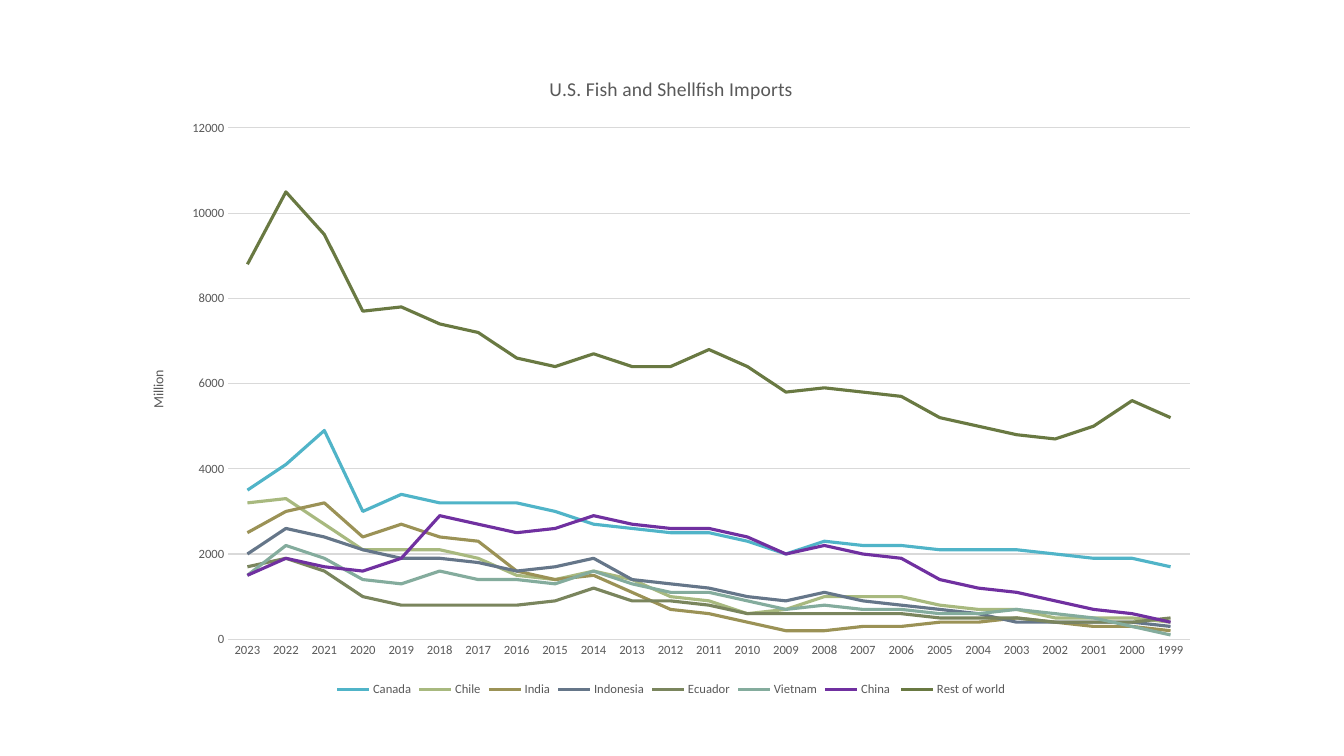
from lxml import etree
from pptx import Presentation
from pptx import util as u
from pptx.chart import data as chart_data
from pptx.dml.color import RGBColor
from pptx.enum import chart as ec
from pptx.oxml.ns import qn

TITLE = "U.S. Fish and Shellfish Imports"
VALUE_TITLE = "Million"
YEARS = [str(year) for year in range(2023, 1998, -1)]
HUNDREDS = 100
IMPORTS = [
    ("Canada", "50B4C8", [35, 41, 49, 30, 34, 32, 32, 32, 30, 27, 26, 25, 25,
                          23, 20, 23, 22, 22, 21, 21, 21, 20, 19, 19, 17]),
    ("Chile", "A8B97F", [32, 33, 27, 21, 21, 21, 19, 15, 14, 16, 14, 10, 9,
                         6, 7, 10, 10, 10, 8, 7, 7, 5, 5, 5, 4]),
    ("India", "9B9256", [25, 30, 32, 24, 27, 24, 23, 16, 14, 15, 11, 7, 6,
                         4, 2, 2, 3, 3, 4, 4, 5, 4, 3, 3, 2]),
    ("Indonesia", "657689", [20, 26, 24, 21, 19, 19, 18, 16, 17, 19, 14, 13, 12,
                             10, 9, 11, 9, 8, 7, 6, 4, 4, 4, 4, 3]),
    ("Ecuador", "7A855D", [17, 19, 16, 10, 8, 8, 8, 8, 9, 12, 9, 9, 8,
                           6, 6, 6, 6, 6, 5, 5, 5, 4, 4, 4, 5]),
    ("Vietnam", "84AC9D", [15, 22, 19, 14, 13, 16, 14, 14, 13, 16, 13, 11, 11,
                           9, 7, 8, 7, 7, 6, 6, 7, 6, 5, 3, 1]),
    ("China ", "7030A0", [15, 19, 17, 16, 19, 29, 27, 25, 26, 29, 27, 26, 26,
                          24, 20, 22, 20, 19, 14, 12, 11, 9, 7, 6, 4]),
    ("Rest of world", "697942", [88, 105, 95, 77, 78, 74, 72, 66, 64, 67, 64, 64, 68,
                                 64, 58, 59, 58, 57, 52, 50, 48, 47, 50, 56, 52]),
]
GREY, GRID = "595959", "D9D9D9"
CHART_BOX = (3.3, 1.35, 27.23, 16.31)
PLOT_LAYOUT = {"layoutTarget": "inner", "xMode": "edge", "yMode": "edge",
               "x": 0.09, "y": 0.115, "w": 0.89, "h": 0.79}
AXIS_FORMAT = {"major_tick_mark": ec.XL_TICK_MARK.NONE,
               "minor_tick_mark": ec.XL_TICK_MARK.NONE}
VALUE_FORMAT = {"minimum_scale": 0, "maximum_scale": 12000, "major_unit": 2000,
                "has_major_gridlines": True, "has_title": True}
LEGEND_FORMAT = {"position": ec.XL_LEGEND_POSITION.BOTTOM, "include_in_layout": False}


def apply(target, values):
    for name, value in values.items():
        setattr(target, name, value)


def color(hex_string):
    return RGBColor.from_string(hex_string)


def set_font(font, size):
    apply(font, {"name": "Calibri", "size": u.Pt(size), "bold": False})
    font.color.rgb = color(GREY)


def set_line(line, hex_string, width):
    line.color.rgb = color(hex_string)
    line.width = u.Pt(width)


def set_title(owner, text, size):
    frame = owner.text_frame
    frame.text = text
    set_font(frame.paragraphs[0].runs[0].font, size)


def place_plot(chart):
    plot_area = chart.element.find(".//" + qn("c:plotArea"))
    layout = plot_area.find(qn("c:layout"))
    if layout is None:
        layout = etree.Element(qn("c:layout"))
        plot_area.insert(0, layout)
    manual = etree.SubElement(layout, qn("c:manualLayout"))
    for name, value in PLOT_LAYOUT.items():
        etree.SubElement(manual, qn("c:" + name)).set("val", str(value))


def add_imports_chart(slide):
    data = chart_data.CategoryChartData(number_format="0")
    data.categories = YEARS
    for country, _, values in IMPORTS:
        data.add_series(country, [value * HUNDREDS for value in values])
    box = [u.Cm(length) for length in CHART_BOX]
    chart = slide.shapes.add_chart(ec.XL_CHART_TYPE.LINE, *box, data).chart

    set_font(chart.font, 10)
    chart.has_title = True
    set_title(chart.chart_title, TITLE, 14)
    chart.chart_title.include_in_layout = False
    chart.has_legend = True
    apply(chart.legend, LEGEND_FORMAT)
    set_font(chart.legend.font, 9)

    for axis in (chart.category_axis, chart.value_axis):
        apply(axis, AXIS_FORMAT)
        set_font(axis.tick_labels.font, 9)
    set_line(chart.category_axis.format.line, GRID, 0.75)
    value_axis = chart.value_axis
    apply(value_axis, VALUE_FORMAT)
    apply(value_axis.tick_labels, {"number_format": "0", "number_format_is_linked": False})
    value_axis.format.line.fill.background()
    set_line(value_axis.major_gridlines.format.line, GRID, 0.75)
    set_title(value_axis.axis_title, VALUE_TITLE, 10)

    plot = chart.plots[0]
    plot.vary_by_categories = False
    for series, (_, hex_string, _) in zip(plot.series, IMPORTS):
        series.smooth = False
        series.marker.style = ec.XL_MARKER_STYLE.NONE
        set_line(series.format.line, hex_string, 2.25)
    place_plot(chart)


def main():
    presentation = Presentation()
    apply(presentation, {"slide_width": u.Cm(33.87), "slide_height": u.Cm(19.05)})
    slide = presentation.slides.add_slide(presentation.slide_layouts[6])
    add_imports_chart(slide)
    presentation.save("out.pptx")


if __name__ == "__main__":
    main()
